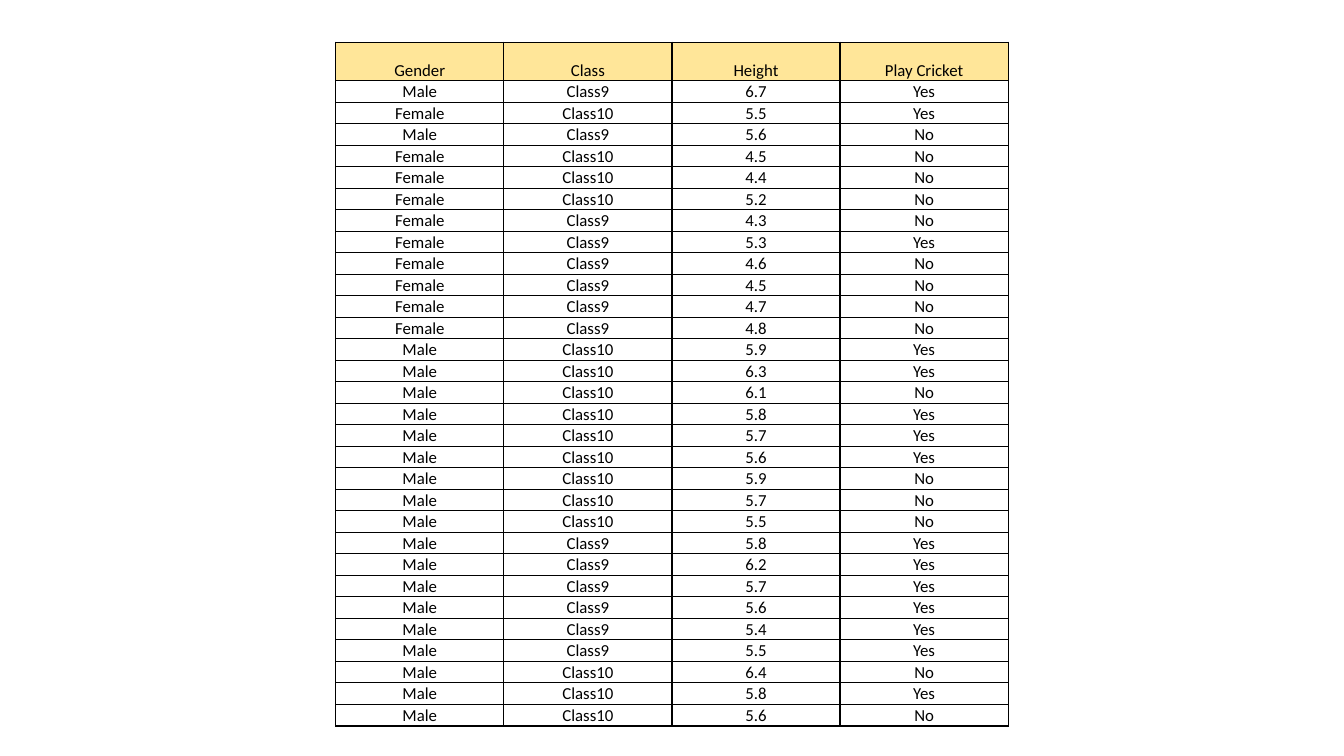
import pptx
import pptx.dml.color
import pptx.enum.text
import pptx.oxml.ns
import pptx.util
from lxml import etree

Inches = pptx.util.Inches

HEADINGS = ["Gender", "Class", "Height", "Play Cricket"]
STUDENTS = """
Male Class9 6.7 Yes
Female Class10 5.5 Yes
Male Class9 5.6 No
Female Class10 4.5 No
Female Class10 4.4 No
Female Class10 5.2 No
Female Class9 4.3 No
Female Class9 5.3 Yes
Female Class9 4.6 No
Female Class9 4.5 No
Female Class9 4.7 No
Female Class9 4.8 No
Male Class10 5.9 Yes
Male Class10 6.3 Yes
Male Class10 6.1 No
Male Class10 5.8 Yes
Male Class10 5.7 Yes
Male Class10 5.6 Yes
Male Class10 5.9 No
Male Class10 5.7 No
Male Class10 5.5 No
Male Class9 5.8 Yes
Male Class9 6.2 Yes
Male Class9 5.7 Yes
Male Class9 5.6 Yes
Male Class9 5.4 Yes
Male Class9 5.5 Yes
Male Class10 6.4 No
Male Class10 5.8 Yes
Male Class10 5.6 No
"""
HEADER_HEIGHT = 0.38
BLACK, WHITE, GOLD = "000000", "FFFFFF", "FFE699"


def color(hex_code):
    return pptx.dml.color.RGBColor.from_string(hex_code)


def add_borders(cell, hex_code, points):
    qn = pptx.oxml.ns.qn
    properties = cell._tc.get_or_add_tcPr()
    for side in ("lnL", "lnR", "lnT", "lnB"):
        border = etree.SubElement(properties, qn(f"a:{side}"), w=str(pptx.util.Pt(points)))
        fill = etree.SubElement(border, qn("a:solidFill"))
        etree.SubElement(fill, qn("a:srgbClr"), val=hex_code)


def fill_cell(cell, text, background):
    add_borders(cell, BLACK, 1)
    cell.fill.solid()
    cell.fill.fore_color.rgb = color(background)
    cell.margin_left = cell.margin_right = cell.margin_top = Inches(0.01)
    cell.margin_bottom = 0
    cell.vertical_anchor = pptx.enum.text.MSO_ANCHOR.BOTTOM
    paragraph = cell.text_frame.paragraphs[0]
    paragraph.text = text
    paragraph.alignment = pptx.enum.text.PP_ALIGN.CENTER
    font = paragraph.runs[0].font
    font.name = "Calibri"
    font.size = pptx.util.Pt(12)
    font.color.rgb = color(BLACK)


def add_student_table(slide, left, top, width, height):
    students = [line.split() for line in STUDENTS.strip().splitlines()]
    records = [HEADINGS] + students
    table = slide.shapes.add_table(
        len(records), len(HEADINGS),
        Inches(left), Inches(top), Inches(width), Inches(height)).table
    table.first_row = table.horz_banding = False
    for column in table.columns:
        column.width = Inches(width / len(HEADINGS))
    student_height = (height - HEADER_HEIGHT) / len(students)
    for index, (row, record) in enumerate(zip(table.rows, records)):
        row.height = Inches(student_height if index else HEADER_HEIGHT)
        for cell, text in zip(row.cells, record):
            fill_cell(cell, text, WHITE if index else GOLD)


def main():
    presentation = pptx.Presentation()
    presentation.slide_width = Inches(13.33)
    presentation.slide_height = Inches(7.5)
    slide = presentation.slides.add_slide(presentation.slide_layouts[6])
    add_student_table(slide, 3.33, 0.42, 6.67, 6.56)
    presentation.save("out.pptx")


if __name__ == "__main__":
    main()
